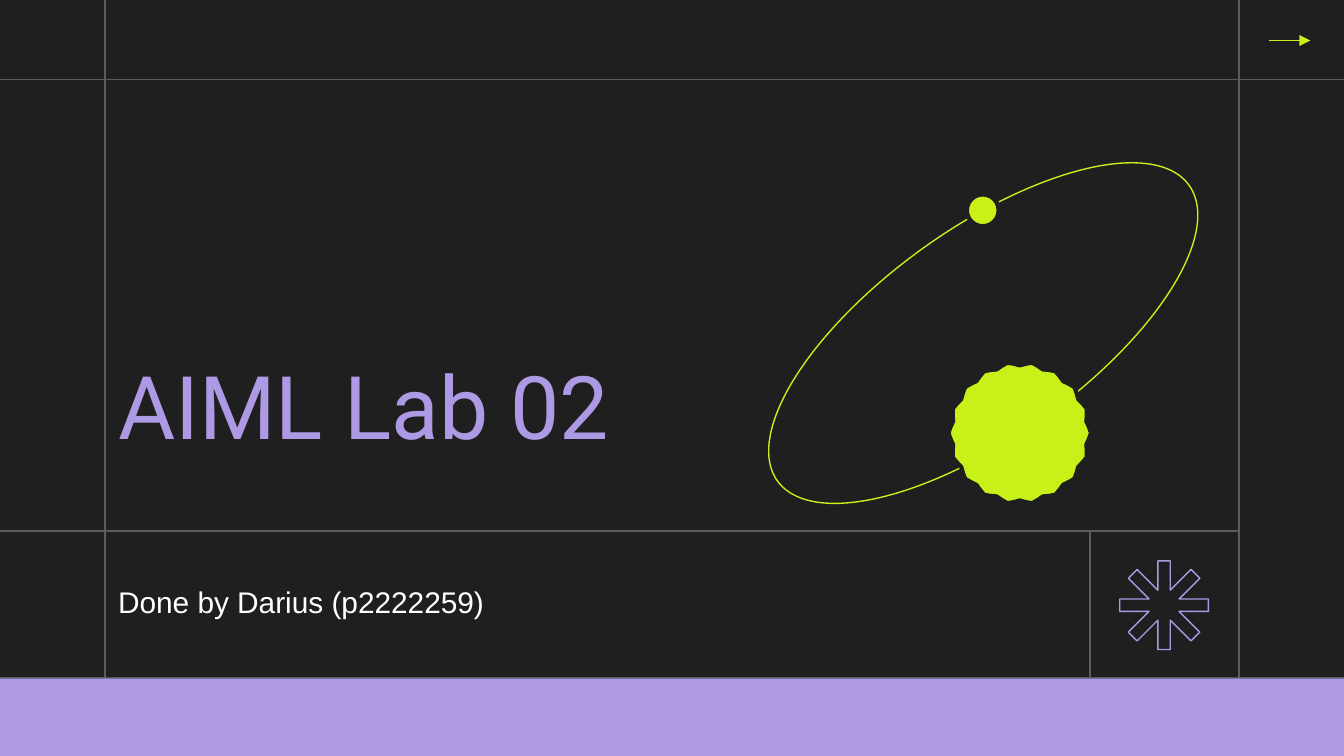
from dataclasses import dataclass
from math import cos, pi, sin, tan

from lxml import etree
from pptx import Presentation
from pptx.dml import color
from pptx.enum import shapes, text
from pptx.oxml import ns
from pptx.util import Pt


@dataclass(frozen=True)
class Theme:
    """Colours, fonts and sizes of the slide."""
    dark: str = "1F1F1F"
    grey: str = "5C5C5C"
    lilac: str = "AD99E4"
    lime: str = "C8F119"
    white: str = "FFFFFF"
    head: str = "Roboto"
    body: str = "Arial"
    large: float = 47
    small: float = 16
    thin: float = 0.75
    thick: float = 2.25


THEME = Theme()


def rgb(code):
    """Turn a hex code into a colour."""
    return color.RGBColor.from_string(code)


def paint(shape, fill=None, line=None, width=THEME.thin):
    """Set the fill and outline of a shape."""
    shape.shadow.inherit = False
    if fill:
        shape.fill.solid()
        shape.fill.fore_color.rgb = rgb(fill)
    else:
        shape.fill.background()
    if line:
        shape.line.color.rgb = rgb(line)
        shape.line.width = Pt(width)
    else:
        shape.line.fill.background()
    return shape


def rule(parts, x1, y1, x2, y2, tint=THEME.grey):
    """Draw a thin straight line."""
    line = parts.add_connector(shapes.MSO_CONNECTOR.STRAIGHT, Pt(x1), Pt(y1), Pt(x2), Pt(y2))
    line.line.color.rgb = rgb(tint)
    line.line.width = Pt(THEME.thin)
    etree.SubElement(line._element.spPr, ns.qn("a:effectLst"))
    return line


def oval(parts, x, y, w, h):
    """Add an ellipse."""
    return parts.add_shape(shapes.MSO_SHAPE.OVAL, Pt(x), Pt(y), Pt(w), Pt(h))


def outline(parts, points):
    """Add a closed outline through points."""
    dots = [(Pt(x), Pt(y)) for x, y in points]
    maker = parts.build_freeform(*dots[0])
    maker.add_line_segments(dots[1:], close=True)
    return maker.convert_to_shape()


def label(parts, box, words, font, size, tint, anchor, space=1.0):
    """Place one line of text in a box."""
    frame = parts.add_textbox(*map(Pt, box)).text_frame
    frame.word_wrap = True
    frame.vertical_anchor = anchor
    frame.margin_left = frame.margin_right = Pt(7.2)
    frame.margin_top = frame.margin_bottom = Pt(7.2)
    frame.text = words
    para = frame.paragraphs[0]
    para.line_spacing = space
    style = para.runs[0].font
    style.name, style.size = font, Pt(size)
    style.color.rgb = rgb(tint)


def grid(parts, box):
    """Draw the page rules and the band along the foot."""
    x, y, w, h = box
    for left in (56.2, w - 56.3):
        rule(parts, x + left, y, x + left, y + h)
    for top in (42.5, 363):
        rule(parts, x + w, y + top, x, y + top)
    band = parts.add_shape(shapes.MSO_SHAPE.RECTANGLE, Pt(x), Pt(y + 363.5), Pt(w), Pt(h - 363.5))
    paint(band, THEME.lilac)


def star(parts, box):
    """Draw an eight-armed star that fills the box."""
    x, y, w, h = box
    half, reach = w * 0.07, w / 2
    notch = half / tan(pi / 8)
    points = []
    for step in range(8):
        turn = step * pi / 4
        for along, side in ((notch, -half), (reach, -half), (reach, half)):
            points.append((x + w / 2 + along * cos(turn) - side * sin(turn),
                           y + h / 2 + along * sin(turn) + side * cos(turn)))
    paint(outline(parts, points), THEME.dark, THEME.lilac)


def footer(parts, box):
    """Frame the author strip and its star."""
    x, y, w, h = box
    label(parts, (x + 56.2, y + 18, 515, 42), "Done by Darius (p2222259)", THEME.body,
          THEME.small, THEME.white, text.MSO_ANCHOR.TOP, 1.15)
    star(parts, (x + w - 63.6, y + 16, 47.5, 47.5))
    rule(parts, x + w, y, x, y)
    rule(parts, x + w - 79.5, y + h, x + w - 79.5, y)


def arrow(parts, box):
    """Draw a right arrow across the middle of the box."""
    x, y, w, h = box
    line = rule(parts, x, y + h / 2, x + w, y + h / 2, THEME.lime)
    etree.SubElement(line.line._get_or_add_ln(), ns.qn("a:tailEnd"), type="triangle")


def orbit(parts, box):
    """Draw a tilted orbit with a moon and a scalloped sun."""
    x, y, w, h = box
    group = parts.add_group_shape().shapes
    ring = paint(oval(group, x, y + (h - 111.5) / 2, w, 111.5), line=THEME.lime)
    ring.rotation = 324.3
    paint(oval(group, x + 127, y + 17, 17, 17), THEME.lime, THEME.dark, THEME.thick)
    points = []
    for step in range(72):
        turn = step * pi / 36
        reach = 37.2 + cos(18 * turn)
        points.append((x + 155.3 + reach * cos(turn), y + 144.8 + reach * sin(turn)))
    paint(outline(group, points), THEME.lime, THEME.dark, THEME.thick)


def main():
    """Build and save the title slide."""
    deck = Presentation()
    deck.slide_width, deck.slide_height = Pt(720), Pt(405)
    slide = deck.slides.add_slide(deck.slide_layouts[6])
    slide.background.fill.solid()
    slide.background.fill.fore_color.rgb = rgb(THEME.dark)
    parts = slide.shapes
    grid(parts, (0, 0, 720, 405))
    label(parts, (56.2, 83, 451.5, 169), "AIML Lab 02", THEME.head,
          THEME.large, THEME.lilac, text.MSO_ANCHOR.BOTTOM)
    footer(parts, (0, 284.5, 663.5, 79))
    arrow(parts, (680, 16.7, 22, 10))
    orbit(parts, (391, 87.2, 271.5, 182.5))
    deck.save("out.pptx")


if __name__ == "__main__":
    main()
